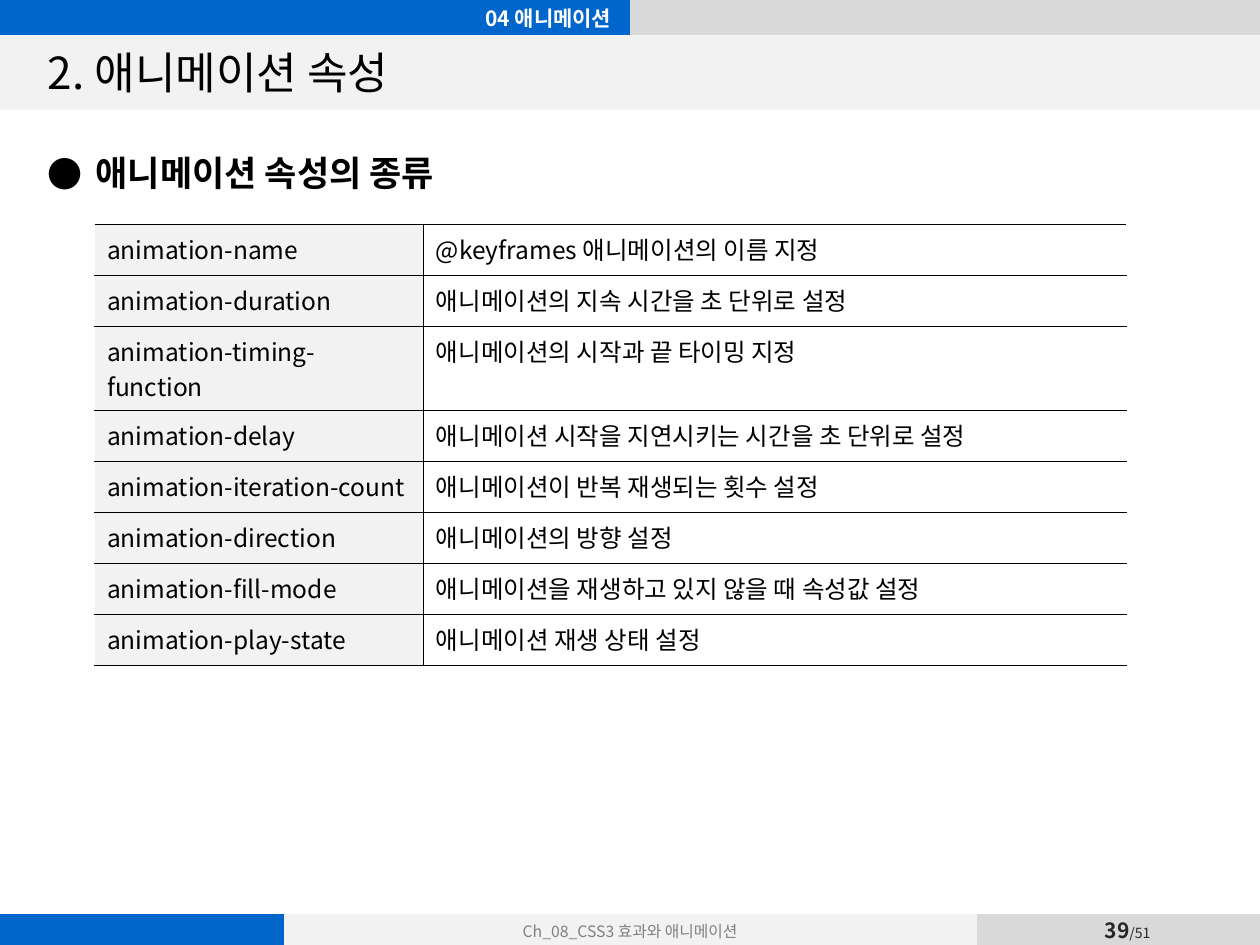
from lxml.etree import SubElement
from pptx import Presentation
from pptx.dml.color import RGBColor
from pptx.enum.shapes import MSO_SHAPE
from pptx.enum.text import MSO_ANCHOR, MSO_AUTO_SIZE, PP_ALIGN
from pptx.oxml.ns import qn
from pptx.util import Inches, Pt

BLUE = RGBColor(0x00, 0x66, 0xCC)
LIGHT = RGBColor(0xF2, 0xF2, 0xF2)
MIDDLE = RGBColor(0xD9, 0xD9, 0xD9)
GRAY = RGBColor(0x80, 0x80, 0x80)
DARK = RGBColor(0x26, 0x26, 0x26)
BLACK = RGBColor(0x00, 0x00, 0x00)
WHITE = RGBColor(0xFF, 0xFF, 0xFF)
KOREAN = "Noto Sans CJK KR"
NO_STYLE = "{2D5ABB26-0587-4C30-8999-92F81FD0307C}"

CHAPTER = "04 애니메이션"
TITLE = "2. 애니메이션 속성"
HEADING = "애니메이션 속성의 종류"
FOOTER = "Ch_08_CSS3 효과와 애니메이션"
PAGE_NUMBER, PAGE_TOTAL = "39", "/51"
PROPERTIES = [
    ("animation-name", "@keyframes 애니메이션의 이름 지정"),
    ("animation-duration", "애니메이션의 지속 시간을 초 단위로 설정"),
    ("animation-timing-function", "애니메이션의 시작과 끝 타이밍 지정"),
    ("animation-delay", "애니메이션 시작을 지연시키는 시간을 초 단위로 설정"),
    ("animation-iteration-count", "애니메이션이 반복 재생되는 횟수 설정"),
    ("animation-direction", "애니메이션의 방향 설정"),
    ("animation-fill-mode", "애니메이션을 재생하고 있지 않을 때 속성값 설정"),
    ("animation-play-state", "애니메이션 재생 상태 설정"),
]
TOP_BAND = [(5, BLUE, ""), (5, MIDDLE, "")]
BOTTOM_BAND = [(2.25, BLUE, ""), (5.5, LIGHT, FOOTER), (0.03, MIDDLE, ""),
               (1.34, MIDDLE, ""), (0.91, MIDDLE, "")]


def add_span(para, text, size, color=BLACK, bold=False, name=KOREAN):
    span = para.add_run()
    span.text = text
    for key, value in {"size": Pt(size), "bold": bold, "name": name}.items():
        setattr(span.font, key, value)
    span.font.color.rgb = color
    SubElement(span.font._element, qn("a:ea"), typeface=KOREAN)


def format_frame(frame, **values):
    for key, value in values.items():
        setattr(frame, key, value)


def move(shape, left, top, width, height):
    for key, value in zip(("left", "top", "width", "height"), (left, top, width, height)):
        setattr(shape, key, Inches(value))


def add_plain_table(page, rows, left, top, widths, height):
    """Add a table without style, with rows of equal height."""
    graphic = page.shapes.add_table(rows, len(widths), Inches(left), Inches(top),
                                    Inches(sum(widths)), Inches(height))
    graphic.element.find(".//" + qn("a:tableStyleId")).text = NO_STYLE
    table = graphic.table
    table.first_row = table.horz_banding = False
    for column, width in zip(table.columns, widths):
        column.width = Inches(width)
    return table


def fill_cell(cell, color):
    cell.fill.solid()
    cell.fill.fore_color.rgb = color


def add_band(page, top, height, parts):
    table = add_plain_table(page, 1, 0, top, [part[0] for part in parts], height)
    for cell, (_, color, text) in zip(table.rows[0].cells, parts):
        format_frame(cell, margin_left=0, margin_right=0, margin_top=0,
                     margin_bottom=0, vertical_anchor=MSO_ANCHOR.MIDDLE)
        fill_cell(cell, color)
        para = cell.text_frame.paragraphs[0]
        para.alignment = PP_ALIGN.CENTER
        if text:
            add_span(para, text, 9, GRAY)
        else:
            SubElement(para._p, qn("a:endParaRPr"), sz="800")


def set_borders(cell, **sides):
    properties = cell._tc.get_or_add_tcPr()
    for side in "LRTB":
        color, width = sides.get(side, (BLACK, 0.25))
        line = SubElement(properties, qn("a:ln" + side), w=str(Pt(width)))
        SubElement(SubElement(line, qn("a:solidFill")), qn("a:srgbClr"), val=str(color))


def add_property_table(page):
    table = add_plain_table(page, len(PROPERTIES), 0.75, 1.78, [2.61, 5.58], 3.24)
    looks = [(LIGHT, {"L": (WHITE, 1)}), (WHITE, {"R": (WHITE, 1)})]
    for row, texts in zip(table.rows, PROPERTIES):
        for cell, text, (color, sides) in zip(row.cells, texts, looks):
            set_borders(cell, **sides)
            fill_cell(cell, color)
            add_span(cell.text_frame.paragraphs[0], text, 14)


def add_text_box(page, left, top, width, height, **values):
    box = page.shapes.add_textbox(*map(Inches, (left, top, width, height)))
    format_frame(box.text_frame, vertical_anchor=MSO_ANCHOR.MIDDLE, **values)
    return box.text_frame.paragraphs[0]


def add_title_and_heading(title, body):
    move(title, 0.28, 0.29, 9.45, 0.56)
    format_frame(title.text_frame, vertical_anchor=MSO_ANCHOR.MIDDLE,
                 auto_size=MSO_AUTO_SIZE.NONE)
    para = title.text_frame.paragraphs[0]
    para.alignment = PP_ALIGN.LEFT
    add_span(para, TITLE, 25.2)

    move(body, 0.28, 1.15, 9.37, 0.63)
    body.text_frame.auto_size = MSO_AUTO_SIZE.NONE
    para = body.text_frame.paragraphs[0]
    para.space_before = Pt(4)
    properties = para._p.get_or_add_pPr()
    properties.set("marL", str(Inches(0.38)))
    properties.set("indent", str(Inches(-0.38)))
    SubElement(properties, qn("a:buFont"), typeface=KOREAN)
    SubElement(properties, qn("a:buChar"), char="●")
    add_span(para, HEADING, 20, bold=True, name="Arial")


def main():
    deck = Presentation()
    deck.slide_width, deck.slide_height = Inches(10), Inches(7.5)
    page = deck.slides.add_slide(deck.slide_layouts[1])
    title, body = page.placeholders

    strip = page.shapes.add_shape(MSO_SHAPE.RECTANGLE, 0, Inches(0.28),
                                  Inches(10), Inches(0.59))
    strip.shadow.inherit = False
    strip.fill.solid()
    strip.fill.fore_color.rgb = LIGHT
    strip.line.fill.background()

    add_band(page, 0, 0.28, TOP_BAND)
    add_band(page, 7.25, 0.27, BOTTOM_BAND)

    para = add_text_box(page, 8.47, 7.25, 0.96, 0.26, word_wrap=False,
                        margin_left=0, margin_right=0)
    para.alignment = PP_ALIGN.CENTER
    add_span(para, PAGE_NUMBER, 12, DARK, bold=True)
    add_span(para, PAGE_TOTAL, 8, DARK)

    para = add_text_box(page, 0, 0, 4.95, 0.28, word_wrap=True)
    para.alignment = PP_ALIGN.RIGHT
    add_span(para, CHAPTER, 12, WHITE, bold=True)

    add_title_and_heading(title, body)
    for placeholder in (title, body):  # bring in front of the strip
        placeholder.element.getparent().append(placeholder.element)
    add_property_table(page)
    deck.save("out.pptx")


if __name__ == "__main__":
    main()
